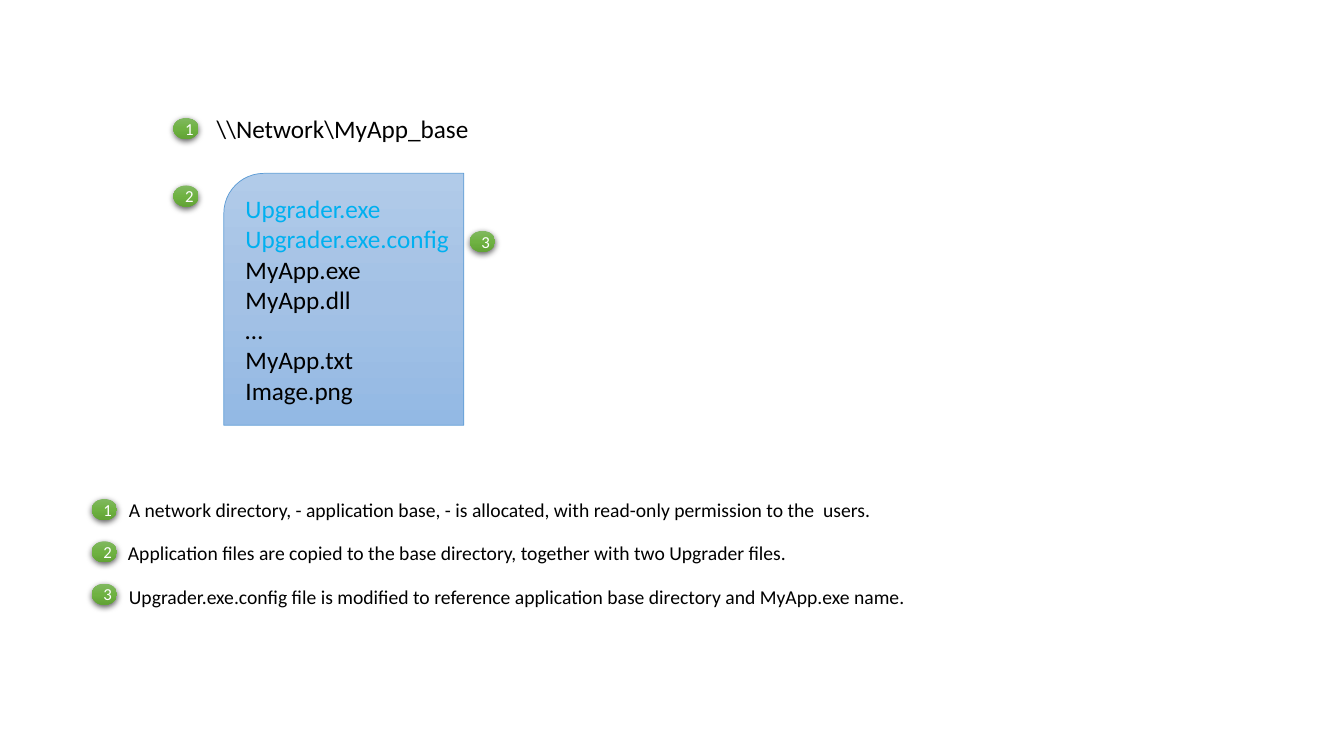
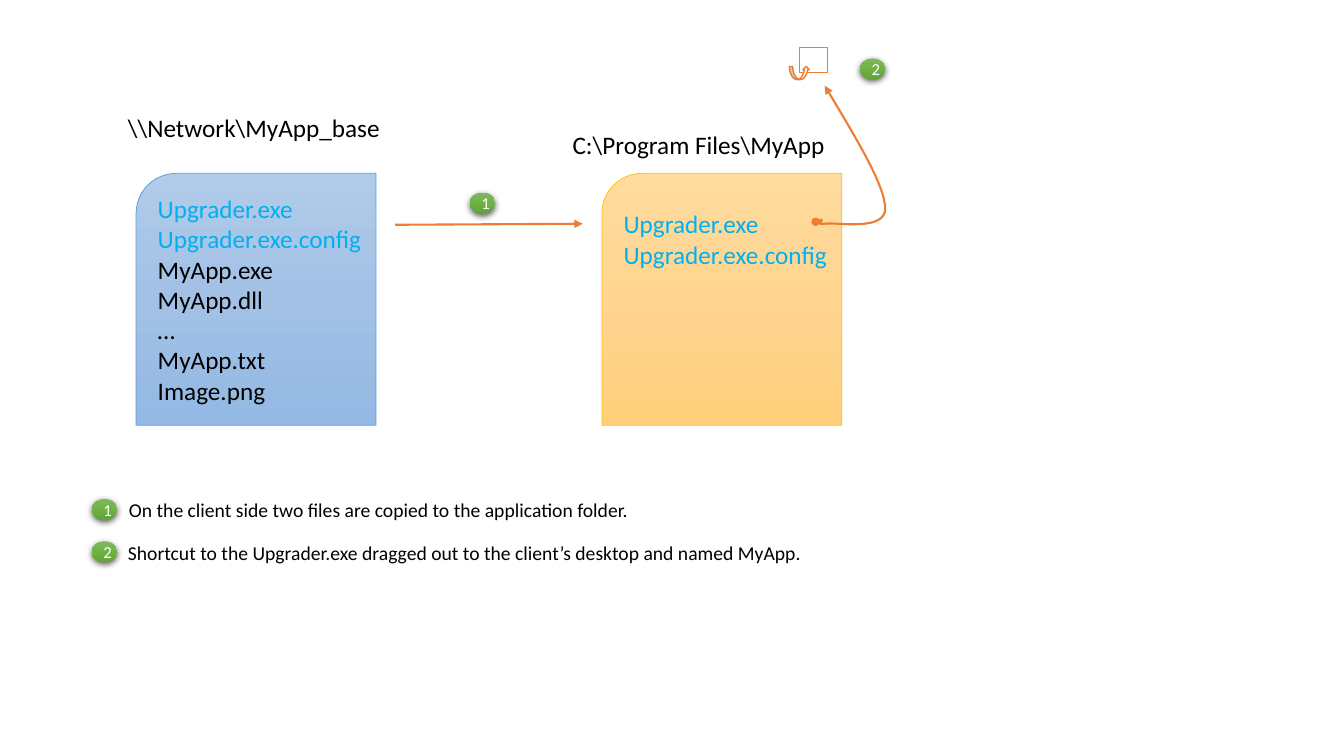
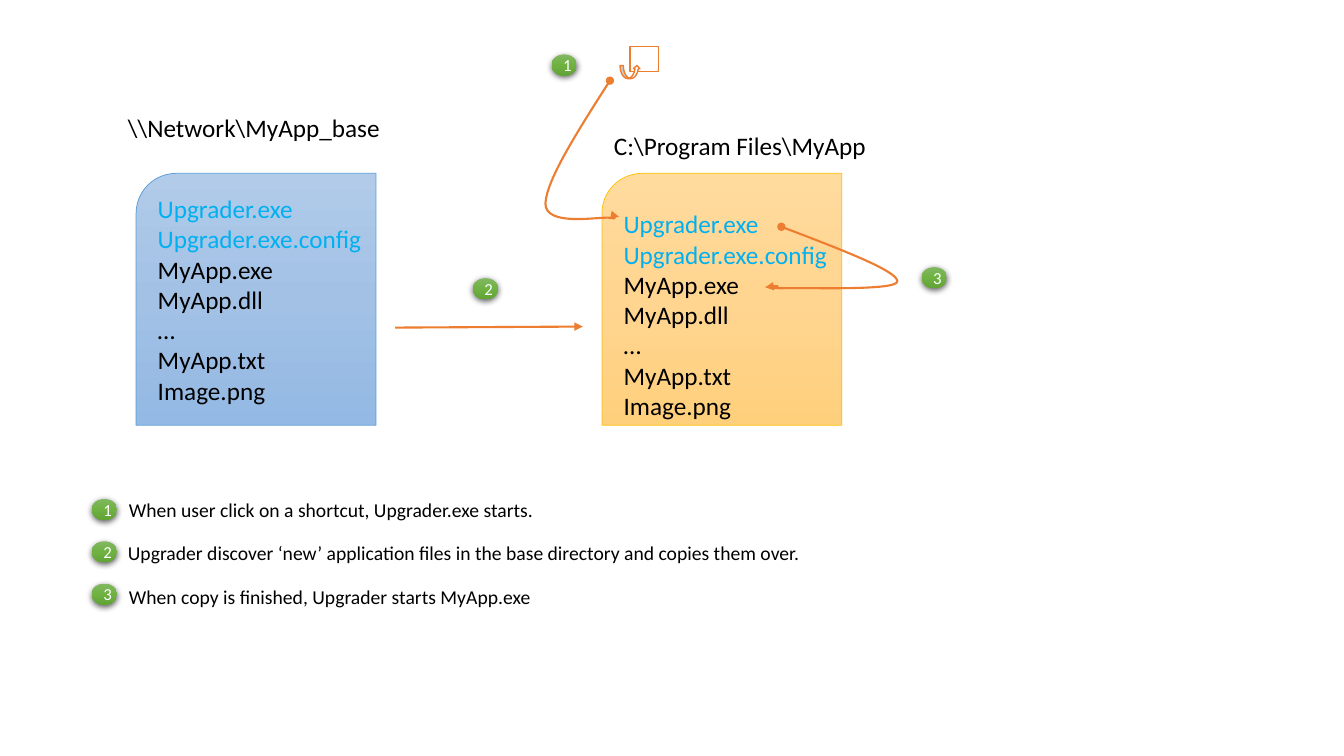
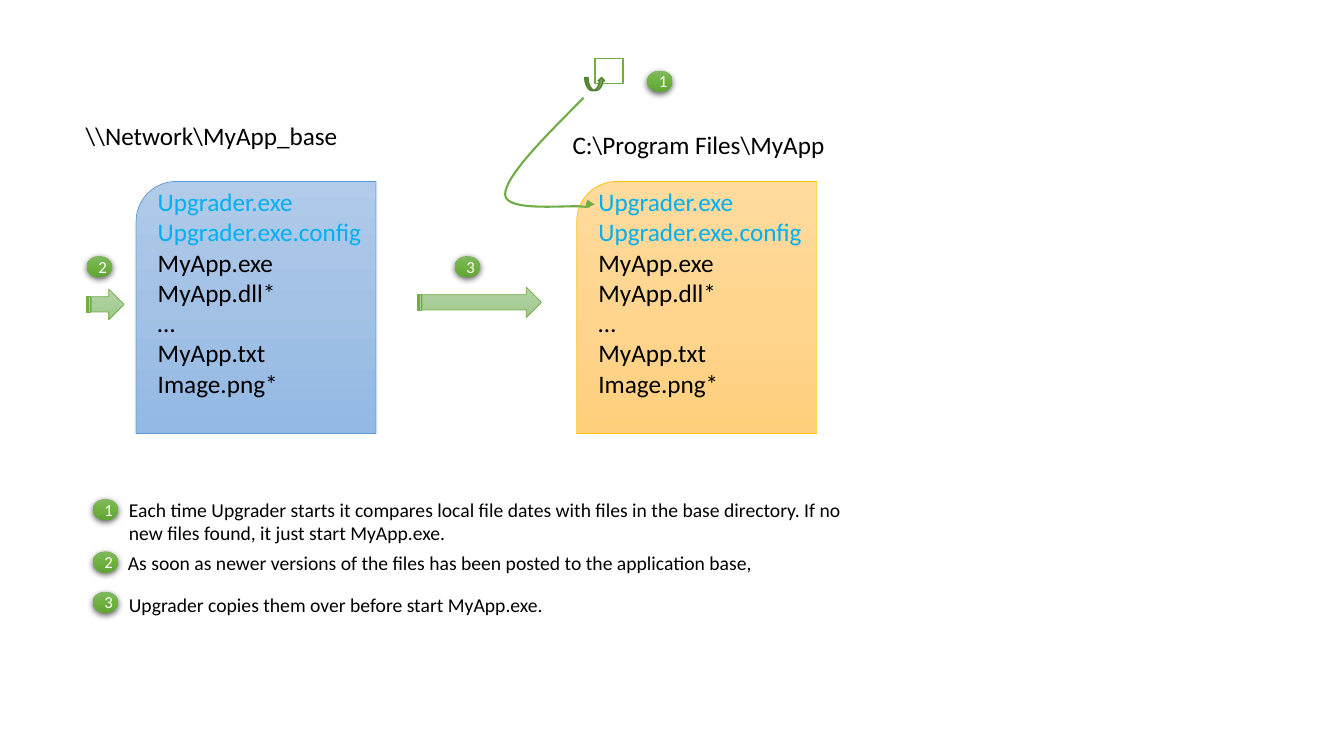
import copy

import pptx
import pptx.dml.color
import pptx.enum.dml
import pptx.enum.shapes
import pptx.enum.text
import pptx.oxml
import pptx.oxml.ns
import pptx.util
from pptx.util import Inches

RGBColor = pptx.dml.color.RGBColor
MSO_SHAPE = pptx.enum.shapes.MSO_SHAPE
ANCHOR = pptx.enum.text.MSO_ANCHOR
ALIGN = pptx.enum.text.PP_ALIGN
qn = pptx.oxml.ns.qn

# Shared colours and style
FONT = "Calibri"
BLACK = RGBColor(0x00, 0x00, 0x00)
WHITE = RGBColor(0xFF, 0xFF, 0xFF)
CYAN = RGBColor(0x00, 0xB0, 0xF0)
ORANGE = RGBColor(0xED, 0x7D, 0x31)
GREEN = RGBColor(0x70, 0xAD, 0x47)
DARK_GREEN = RGBColor(0x53, 0x80, 0x35)
BLUE_LINE = RGBColor(0x5B, 0x9B, 0xD5)
GOLD_LINE = RGBColor(0xFF, 0xC0, 0x00)
BLUE_FADE = [RGBColor(0xB1, 0xCB, 0xE9), RGBColor(0xA3, 0xC1, 0xE5), RGBColor(0x93, 0xB9, 0xE4)]
GOLD_FADE = [RGBColor(0xFF, 0xDB, 0x9E), RGBColor(0xFF, 0xD5, 0x90), RGBColor(0xFF, 0xD0, 0x7C)]
BADGE_FADE = [RGBColor(0x81, 0xB8, 0x61), RGBColor(0x6F, 0xB2, 0x42), RGBColor(0x62, 0xA3, 0x36)]
ARROW_FADE = [RGBColor(0xB5, 0xD5, 0xA7), RGBColor(0xAA, 0xCE, 0x9A), RGBColor(0x9C, 0xC9, 0x87)]

BASE_DIR = "\\\\Network\\MyApp_base"
CLIENT_DIR = "C:\\Program Files\\MyApp"
UPGRADER_FILES = "Upgrader.exe\vUpgrader.exe.config"
APP_FILES = ["MyApp.exe", "MyApp.dll", "…", "MyApp.txt", "Image.png"]
NEW_APP_FILES = ["MyApp.exe", "MyApp.dll*", "…", "MyApp.txt", "Image.png*"]
STEP_TOPS = [4.89, 5.32, 5.75]


# Formatting helpers
def set_font(p, size, color):
    p.font.name = FONT
    p.font.size = pptx.util.Pt(size)
    p.font.color.rgb = color


def set_line(sp, color, width):
    sp.line.color.rgb = color
    sp.line.width = pptx.util.Pt(width)


def fade(sp, colors):
    """Fill a shape from top to bottom with three evenly spaced colours."""
    sp.fill.gradient()
    sp.fill.gradient_angle = 270
    stops = sp._element.spPr.find(qn("a:gradFill")).find(qn("a:gsLst"))
    stops.insert(1, copy.deepcopy(stops[0]))
    for i, (stop, color) in enumerate(zip(sp.fill.gradient_stops, colors)):
        stop.position = i / 2
        stop.color.rgb = color


def set_ends(sp, head=None, tail=None):
    ln = sp._element.spPr.find(qn("a:ln"))
    for tag, kind in (("a:headEnd", head), ("a:tailEnd", tail)):
        if kind:
            ln.append(ln.makeelement(qn(tag), {"type": kind}))


def add_shape(shapes, kind, x, y, w, h):
    sp = shapes.add_shape(kind, Inches(x), Inches(y), Inches(w), Inches(h))
    sp.shadow.inherit = False
    return sp


# Elements
def add_text(slide, text, x, y, w, h, size, wrap):
    tf = slide.shapes.add_textbox(Inches(x), Inches(y), Inches(w), Inches(h)).text_frame
    tf.word_wrap = wrap
    tf.auto_size = pptx.enum.text.MSO_AUTO_SIZE.SHAPE_TO_FIT_TEXT
    p = tf.paragraphs[0]
    p.text = text
    set_font(p, size, BLACK)


def add_label(slide, text, x, y):
    add_text(slide, text, x, y, 2.75, 0.4, 18, False)


def add_badge(slide, number, x, y):
    sp = add_shape(slide.shapes, MSO_SHAPE.OVAL, x, y, 0.25, 0.21)
    fade(sp, BADGE_FADE)
    sp.line.fill.background()
    shadow = pptx.oxml.parse_xml(
        f'<a:outerShdw {pptx.oxml.ns.nsdecls("a")} blurRad="57150" dist="19050" '
        'dir="5400000" algn="ctr" rotWithShape="0">'
        '<a:srgbClr val="000000"><a:alpha val="63000"/></a:srgbClr></a:outerShdw>')
    sp._element.spPr.find(qn("a:effectLst")).append(shadow)
    sp.text_frame.vertical_anchor = ANCHOR.MIDDLE
    p = sp.text_frame.paragraphs[0]
    p.text = str(number)
    p.alignment = ALIGN.CENTER
    set_font(p, 12, WHITE)


def add_folder(slide, x, y, colors, line, files, anchor=ANCHOR.TOP, top_margin=0.05):
    """Folder with its left corner rounded; the Upgrader files come first."""
    sp = add_shape(slide.shapes, MSO_SHAPE.ROUND_1_RECTANGLE, x, y, 2.38, 2.5)
    sp._element.spPr.find(qn("a:xfrm")).set("flipH", "1")
    fade(sp, colors)
    set_line(sp, line, 0.5)
    tf = sp.text_frame
    tf.word_wrap = True
    tf.vertical_anchor = anchor
    tf.margin_top = Inches(top_margin)
    for i, text in enumerate([UPGRADER_FILES] + files):
        p = tf.add_paragraph() if i else tf.paragraphs[0]
        p.text = text
        p.alignment = ALIGN.LEFT
        set_font(p, 18, BLACK if i else CYAN)


def add_base_folder(slide, x, y, files=APP_FILES, anchor=ANCHOR.MIDDLE):
    add_folder(slide, x, y, BLUE_FADE, BLUE_LINE, files, anchor)


def add_client_folder(slide, x, y, files, top_margin=0.35):
    add_folder(slide, x, y, GOLD_FADE, GOLD_LINE, files, top_margin=top_margin)


def add_shortcut(slide, x, y, line, arrow_fill=WHITE, arrow_line=ORANGE):
    shapes = slide.shapes.add_group_shape().shapes
    icon = add_shape(shapes, MSO_SHAPE.RECTANGLE, x, y, 0.28, 0.25)
    arrow = add_shape(shapes, MSO_SHAPE.CURVED_UP_ARROW, x - 0.1, y + 0.19, 0.2, 0.13)
    for sp, fill, color in ((icon, WHITE, line), (arrow, arrow_fill, arrow_line)):
        sp.fill.solid()
        sp.fill.fore_color.rgb = fill
        set_line(sp, color, 1)


def add_copy_arrow(slide, y):
    line = slide.shapes.add_connector(
        pptx.enum.shapes.MSO_CONNECTOR.STRAIGHT,
        Inches(3.92), Inches(y), Inches(5.78), Inches(y - 0.01))
    set_line(line, ORANGE, 1.5)
    set_ends(line, tail="triangle")
    sp_pr = line._element.spPr
    sp_pr.append(sp_pr.makeelement(qn("a:effectLst"), {}))


def add_striped_arrow(slide, x, y, w):
    sp = add_shape(slide.shapes, MSO_SHAPE.STRIPED_RIGHT_ARROW, x, y, w, 0.3)
    fade(sp, ARROW_FADE)
    set_line(sp, GREEN, 0.5)


def add_curve(slide, points, color, head=None, tail=None):
    """Open curve: a start point, then three Bezier points per segment."""
    points = [(Inches(x), Inches(y)) for x, y in points]
    builder = slide.shapes.build_freeform(*points[0])
    builder.add_line_segments(points[1:], close=False)
    sp = builder.convert_to_shape()
    sp.shadow.inherit = False
    sp.fill.background()
    set_line(sp, color, 1.5)
    set_ends(sp, head, tail)
    # Join every three straight pieces into one Bezier piece
    pieces = list(sp._element.iter(qn("a:lnTo")))
    outline = pieces[0].getparent()
    for i in range(0, len(pieces), 3):
        bezier = outline.makeelement(qn("a:cubicBezTo"), {})
        outline.append(bezier)
        for piece in pieces[i:i + 3]:
            bezier.append(piece[0])
            outline.remove(piece)


def add_steps(slide, texts, tops=STEP_TOPS, badge_x=0.91, first_width=8.22):
    for i, (text, top) in enumerate(zip(texts, tops)):
        add_badge(slide, i + 1, badge_x, top + 0.06 - 0.01 * i)
        add_text(slide, text, 1.17 if i == 1 else 1.18, top,
                 8.22 if i else first_width, 0.34, 14, True)


# Slides
def build_base_slide(slide):
    add_base_folder(slide, 2.22, 1.72)
    add_label(slide, BASE_DIR, 2.05, 1.08)
    add_badge(slide, 1, 1.72, 1.17)
    add_badge(slide, 2, 1.72, 1.84)
    add_badge(slide, 3, 4.66, 2.29)
    add_steps(slide, [
        "A network directory, - application base, - is allocated, with read-only "
        "permission to the  users.",
        "Application files are copied to the base directory, together with two Upgrader files.",
        "Upgrader.exe.config file is modified to reference application base directory "
        "and MyApp.exe name.",
    ])


def build_client_slide(slide):
    add_base_folder(slide, 1.35, 1.72)
    add_label(slide, BASE_DIR, 1.17, 1.07)
    add_client_folder(slide, 5.97, 1.72, [])
    add_label(slide, CLIENT_DIR, 5.58, 1.23)
    add_shortcut(slide, 7.93, 0.47, ORANGE)
    add_copy_arrow(slide, 2.23)
    add_curve(slide, [
        (8.18, 0.85), (8.48, 1.35), (8.78, 1.85), (8.78, 2.07),
        (8.78, 2.3), (8.29, 2.2), (8.18, 2.22),
        (8.08, 2.23), (8.17, 2.19), (8.15, 2.18),
        (8.14, 2.18), (8.11, 2.19), (8.09, 2.2),
    ], ORANGE, "triangle", "oval")
    add_badge(slide, 1, 4.66, 1.91)
    add_badge(slide, 2, 8.53, 0.58)
    add_steps(slide, [
        "On the client side two files are copied to the application folder.",
        "Shortcut to the Upgrader.exe dragged out to the client’s desktop and named MyApp.",
    ])


def build_first_start_slide(slide):
    add_base_folder(slide, 1.35, 1.72)
    add_label(slide, BASE_DIR, 1.17, 1.07)
    add_client_folder(slide, 5.97, 1.72, APP_FILES)
    add_label(slide, CLIENT_DIR, 5.99, 1.24)
    add_shortcut(slide, 6.25, 0.46, ORANGE)
    add_copy_arrow(slide, 3.25)
    add_curve(slide, [
        (6.05, 0.8), (5.73, 1.3), (5.42, 1.79), (5.41, 2.02),
        (5.41, 2.25), (5.93, 2.15), (6.04, 2.16),
        (6.15, 2.18), (6.06, 2.13), (6.07, 2.13),
        (6.09, 2.13), (6.11, 2.14), (6.14, 2.15),
    ], ORANGE, "oval", "triangle")
    add_curve(slide, [
        (7.75, 2.25), (8.33, 2.47), (8.9, 2.69), (8.9, 2.79),
        (8.91, 2.89), (7.96, 2.85), (7.76, 2.86),
        (7.56, 2.86), (7.74, 2.84), (7.71, 2.84),
        (7.68, 2.84), (7.63, 2.84), (7.59, 2.85),
    ], ORANGE, "oval", "triangle")
    add_badge(slide, 1, 5.47, 0.54)
    add_badge(slide, 2, 4.69, 2.76)
    add_badge(slide, 3, 9.14, 2.65)
    add_steps(slide, [
        "When user click on a shortcut, Upgrader.exe starts.",
        "Upgrader discover ‘new’ application files in the base directory and copies them over.",
        "When copy is finished, Upgrader starts MyApp.exe",
    ])


def build_update_slide(slide):
    add_base_folder(slide, 1.35, 1.8, NEW_APP_FILES, ANCHOR.TOP)
    add_label(slide, BASE_DIR, 0.75, 1.14)
    add_client_folder(slide, 5.72, 1.8, NEW_APP_FILES, top_margin=0.05)
    add_label(slide, CLIENT_DIR, 5.58, 1.23)
    add_shortcut(slide, 5.9, 0.58, GREEN, GREEN, DARK_GREEN)
    add_curve(slide, [
        (5.79, 0.97), (5.4, 1.36), (5.01, 1.75), (5.01, 1.93),
        (5.01, 2.11), (5.65, 2.03), (5.78, 2.05),
        (5.92, 2.06), (5.8, 2.02), (5.82, 2.02),
        (5.84, 2.02), (5.87, 2.03), (5.9, 2.03),
    ], GREEN, tail="triangle")
    add_striped_arrow(slide, 4.14, 2.85, 1.23)
    add_striped_arrow(slide, 0.86, 2.87, 0.37)
    add_badge(slide, 1, 6.42, 0.7)
    add_badge(slide, 2, 0.86, 2.54)
    add_badge(slide, 3, 4.51, 2.54)
    add_steps(slide, [
        "Each time Upgrader starts it compares local file dates with files in the base "
        "directory. If no new files found, it just start MyApp.exe.",
        "As soon as newer versions of the files has been posted to the application base,",
        "Upgrader copies them over before start MyApp.exe.",
    ], tops=[4.89, 5.42, 5.83], badge_x=0.92, first_width=7.51)


def main():
    prs = pptx.Presentation()
    prs.slide_width = Inches(13.33)
    prs.slide_height = Inches(7.5)
    for build in (build_base_slide, build_client_slide,
                  build_first_start_slide, build_update_slide):
        build(prs.slides.add_slide(prs.slide_layouts[6]))
    prs.save("out.pptx")


main()
